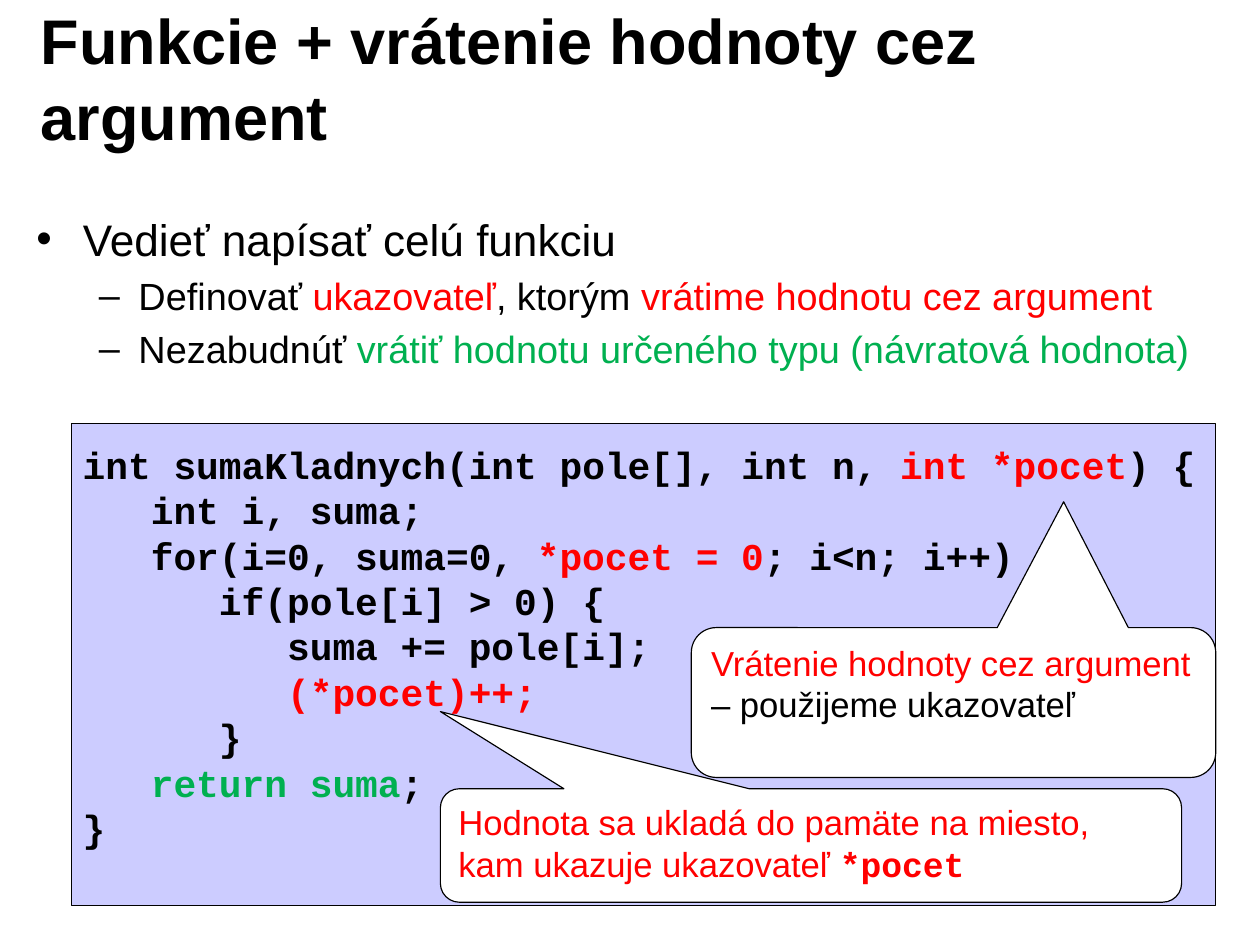
from pptx import Presentation
from pptx.dml.color import RGBColor
from pptx.enum import shapes, text
from pptx.util import Inches, Pt

COLORS = {"black": "000000", "white": "FFFFFF", "red": "FF0000",
          "green": "00B050", "lavender": "CCCCFF"}
CODE_FONT = "Courier New"

BULLETS = [
    (0, 28, [("Vedieť napísať celú funkciu", "black")]),
    (1, 24, [("Definovať ", "black"), ("ukazovateľ", "red"), (", ktorým ", "black"),
             ("vrátime hodnotu cez argument", "red")]),
    (1, 24, [("Nezabudnúť ", "black"),
             ("vrátiť hodnotu určeného typu (návratová hodnota)", "green")]),
]
BULLET_INDENTS = [(0.41, -0.41), (0.9, -0.35)]

CODE = [
    [("int sumaKladnych(int pole[], int n, ", "black"), ("int *pocet", "red"),
     (") {", "black")],
    [("   int i, suma;", "black")],
    [("   for(i=0, suma=0, ", "black"), ("*pocet = 0", "red"), ("; i<n; i++)", "black")],
    [("      if(pole[i] > 0) {", "black")],
    [("         suma += pole[i];", "black")],
    [("         (*pocet)++;", "red")],
    [("      }", "black")],
    [("   return suma", "green"), (";", "black")],
    [("}", "black")],
]


def rgb(name):
    return RGBColor.from_string(COLORS[name])


def place(shape, left, top, width, height):
    shape.left, shape.top = Inches(left), Inches(top)
    shape.width, shape.height = Inches(width), Inches(height)


def set_margins(frame):
    frame.margin_left = frame.margin_right = Inches(0.11)
    frame.margin_top = frame.margin_bottom = Inches(0.06)


def write_runs(paragraph, runs, size, font="Arial", bold=False):
    """Fill a paragraph with (text, colour) runs that share one font."""
    paragraph.alignment = text.PP_ALIGN.LEFT
    paragraph.font.name = font
    paragraph.font.size = Pt(size)
    paragraph.font.bold = bold
    for words, color in runs:
        run = paragraph.add_run()
        run.text = words
        run.font.color.rgb = rgb(color)


def paragraphs_for(frame, items):
    """Yield a paragraph with each item, starting with the frame's first one."""
    for index, item in enumerate(items):
        yield (frame.add_paragraph() if index else frame.paragraphs[0]), item


def fill_title(title):
    place(title, 0.25, 0.17, 8.92, 1.02)
    frame = title.text_frame
    set_margins(frame)
    frame.auto_size = text.MSO_AUTO_SIZE.NONE
    frame.vertical_anchor = text.MSO_ANCHOR.MIDDLE
    write_runs(frame.paragraphs[0],
               [("Funkcie + vrátenie hodnoty cez argument", "black")], 40, bold=True)


def fill_bullets(body):
    place(body, 0.22, 1.82, 11.09, 2.07)
    frame = body.text_frame
    frame.auto_size = text.MSO_AUTO_SIZE.NONE
    for paragraph, (level, size, runs) in paragraphs_for(frame, BULLETS):
        paragraph.level = level
        write_runs(paragraph, runs, size)
        margin, indent = BULLET_INDENTS[level]
        properties = paragraph._p.get_or_add_pPr()
        properties.set("marL", str(Inches(margin)))
        properties.set("indent", str(Inches(indent)))


def add_panel(slide, kind, box, fill):
    panel = slide.shapes.add_shape(kind, *map(Inches, box))
    panel.shadow.inherit = False
    panel.fill.solid()
    panel.fill.fore_color.rgb = rgb(fill)
    panel.line.color.rgb = rgb("black")
    panel.line.width = Pt(0.75)
    return panel


def add_code(slide):
    code_box = slide.shapes.add_textbox(*map(Inches, (0.63, 3.84, 10.08, 3.74)))
    frame = code_box.text_frame
    frame.word_wrap = True
    for paragraph, runs in paragraphs_for(frame, CODE):
        write_runs(paragraph, runs, 24, CODE_FONT, bold=True)


def add_callout(slide, box, pointer, runs):
    """Add a rounded callout whose tip lies at pointer, relative to its centre."""
    callout = add_panel(slide, shapes.MSO_SHAPE.ROUNDED_RECTANGULAR_CALLOUT, box, "white")
    callout.adjustments[0], callout.adjustments[1] = pointer
    frame = callout.text_frame
    set_margins(frame)
    frame.word_wrap = True
    frame.vertical_anchor = text.MSO_ANCHOR.TOP
    write_runs(frame.paragraphs[0], runs, 22)
    return callout


def main():
    presentation = Presentation()
    presentation.slide_width, presentation.slide_height = Inches(11.1), Inches(8.3)
    slide = presentation.slides.add_slide(presentation.slide_layouts[1])
    fill_title(slide.shapes.title)
    fill_bullets(slide.placeholders[1])
    add_panel(slide, shapes.MSO_SHAPE.RECTANGLE, (0.63, 3.73, 10.08, 4.25), "lavender")
    add_code(slide)
    add_callout(slide, (6.09, 5.53, 4.62, 1.32), (0.21, -1.34),
                [("Vrátenie hodnoty cez argument ", "red"),
                 ("– použijeme ukazovateľ", "black")])
    storage = add_callout(slide, (3.88, 6.95, 6.53, 1), (-0.5, -1.18),
                          [("Hodnota sa ukladá do pamäte na miesto, kam ukazuje ukazovateľ ",
                            "red"), ("*pocet", "red")])
    pointer_name = storage.text_frame.paragraphs[0].runs[-1]
    pointer_name.font.name = CODE_FONT
    pointer_name.font.bold = True
    presentation.save("out.pptx")


if __name__ == "__main__":
    main()
